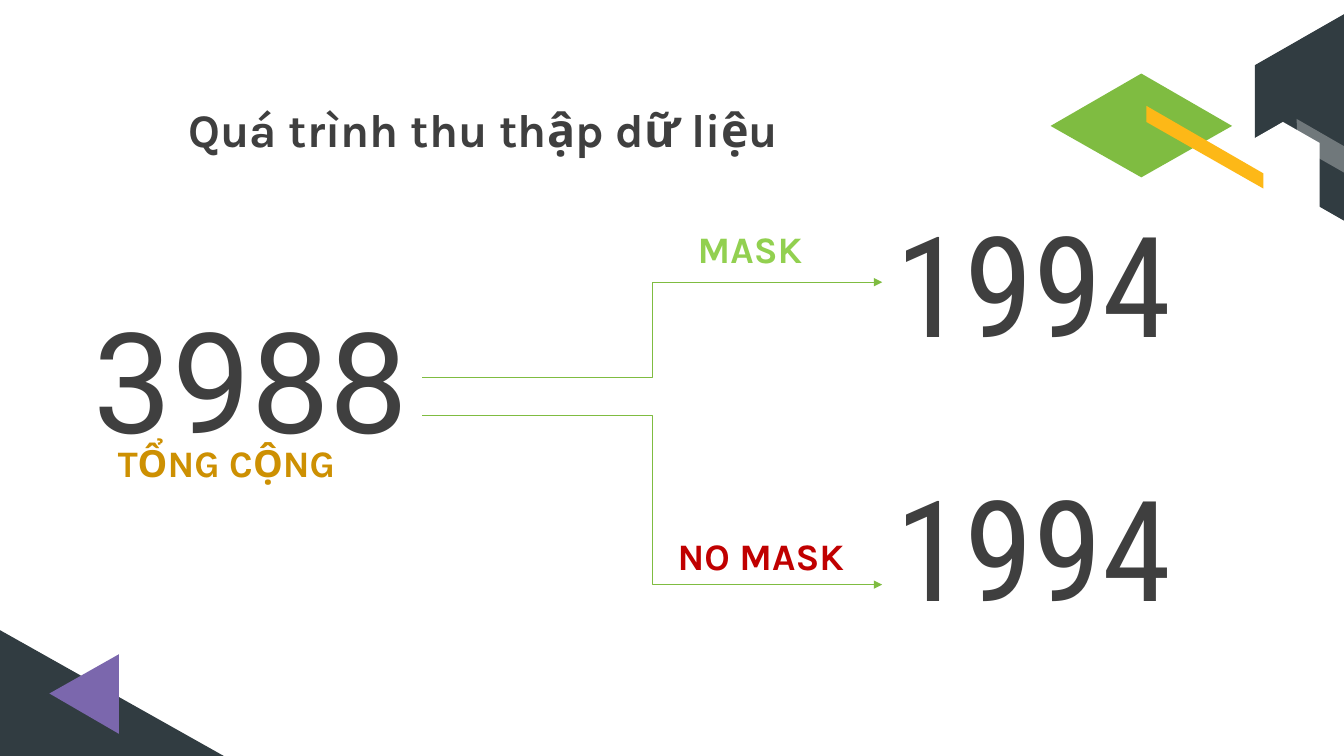
from typing import NamedTuple

from lxml import etree
from pptx import Presentation
from pptx import util as u
from pptx.dml import color
from pptx.enum import shapes, text
from pptx.oxml import ns

PX = 9144
GREEN, CHARCOAL, SLATE, WHITE = "7FBC41", "3F3F3F", "313C41", "FFFFFF"


class Hexagon(NamedTuple):
    """Upright hexagon given by its box before the quarter turn."""
    left: int
    top: int
    width: int
    height: int
    fill: str


class Polygon(NamedTuple):
    """Closed outline with a fill and its opacity in percent."""
    points: list[tuple[int, int]]
    fill: str
    opacity: int = 100


class Label(NamedTuple):
    """One line of text with its box, font and first-line indent."""
    words: str
    box: tuple[int, int, int, int]
    size: float
    font: str
    colour: str
    bold: bool = False
    inset: int = 13
    margin: int = 0
    indent: int = 0
    spacing: float = 1.0


class Branch(NamedTuple):
    """Elbow arrow from the total to one class of images."""
    start_y: int
    end_y: int


HEADING = Label("Quá trình thu thập dữ liệu", (174, 92, 1050, 71), 33.3, "Karla", CHARCOAL, True)
LABELS = [
    Label("TỔNG CỘNG", (107, 437, 354, 43), 26.7, "Karla", "CD9002", True, 10, 25, -25),
    Label("3988", (83, 269, 335, 233), 100, "Roboto", CHARCOAL, inset=10, spacing=0.9),
    Label("1994", (875, 163, 335, 233), 100, "Roboto Condensed", CHARCOAL),
    Label("1994", (875, 425, 335, 233), 100, "Roboto Condensed", CHARCOAL),
    Label("MASK", (667, 225, 176, 43), 26.7, "Karla", "92D050", True, margin=50, indent=-38),
    Label("NO MASK", (647, 530, 232, 43), 26.7, "Karla", "C00000", True, margin=50, indent=-38),
]
DECORATIONS = [
    Hexagon(1231, 27, 206, 179, SLATE),
    Polygon([(1132, 73), (1222, 125), (1132, 176), (1042, 125)], GREEN),
    Polygon([(-2, 624), (-226, 750), (-2, 879), (222, 750)], SLATE),
    Polygon([(118, 649), (49, 688), (118, 728)], "7B67AD"),
    Hexagon(1200, 157, 145, 73, WHITE),
    Polygon([(1253, 172), (1137, 105), (1137, 121), (1253, 187)], "FDB817"),
    Polygon([(1484, 232), (1286, 118), (1287, 145), (1485, 258)], WHITE, 31),
]
BRANCHES = [Branch(412, 580), Branch(374, 280)]
BRANCH_START_X, BRANCH_END_X = 419, 875


def px(length: int) -> int:
    """Turn px into EMU."""
    return u.Emu(length * PX)


def rgb(value: str) -> color.RGBColor:
    """Turn a hex string into a colour."""
    return color.RGBColor.from_string(value)


def paint(shape, fill: str, opacity: int = 100) -> None:
    """Give a shape a plain fill without line or shadow."""
    shape.shadow.inherit = False
    shape.line.fill.background()
    shape.fill.solid()
    shape.fill.fore_color.rgb = rgb(fill)
    if opacity < 100:
        tint = shape.fill._xPr.find(".//" + ns.qn("a:srgbClr"))
        etree.SubElement(tint, ns.qn("a:alpha"), val=str(opacity * 1000))


def draw_hexagon(slide, hexagon: Hexagon) -> None:
    """Draw a hexagon standing on its point."""
    box = map(px, hexagon[:4])
    shape = slide.shapes.add_shape(shapes.MSO_SHAPE.HEXAGON, *box)
    shape.adjustments[0] = 0.286
    shape.adjustments[1] = 1.155
    shape.rotation = 270
    paint(shape, hexagon.fill)


def draw_polygon(slide, polygon: Polygon) -> None:
    """Draw a closed outline."""
    first, *others = polygon.points
    outline = slide.shapes.build_freeform(*first, scale=PX)
    outline.add_line_segments(others, close=True)
    paint(outline.convert_to_shape(), polygon.fill, polygon.opacity)


def write(shape, label: Label) -> None:
    """Place a text shape and format its single line."""
    shape.left, shape.top, shape.width, shape.height = map(px, label.box)
    frame = shape.text_frame
    frame.text = label.words
    frame.word_wrap = True
    frame.auto_size = text.MSO_AUTO_SIZE.NONE
    frame.vertical_anchor = text.MSO_ANCHOR.MIDDLE
    frame.margin_left = frame.margin_right = px(label.inset)
    frame.margin_top = frame.margin_bottom = px(label.inset)
    line = frame.paragraphs[0]
    line.alignment = text.PP_ALIGN.LEFT
    line.line_spacing = label.spacing
    properties = line._p.get_or_add_pPr()
    properties.set("marL", str(px(label.margin)))
    properties.set("indent", str(px(label.indent)))
    font = line.runs[0].font
    font.name, font.size, font.bold = label.font, u.Pt(label.size), label.bold
    font.color.rgb = rgb(label.colour)


def draw_branch(slide, branch: Branch) -> None:
    """Draw an elbow arrow."""
    arrow = slide.shapes.add_connector(
        shapes.MSO_CONNECTOR.ELBOW,
        px(BRANCH_START_X), px(branch.start_y), px(BRANCH_END_X), px(branch.end_y))
    arrow.line.width = u.Pt(0.5)
    arrow.line.color.rgb = rgb(GREEN)
    etree.SubElement(arrow.line._get_or_add_ln(), ns.qn("a:tailEnd"), type="triangle")
    etree.SubElement(arrow._element.spPr, ns.qn("a:effectLst"))


def main() -> None:
    """Build and save the slide."""
    deck = Presentation()
    deck.slide_width, deck.slide_height = px(1333), px(750)
    slide = deck.slides.add_slide(deck.slide_layouts.get_by_name("Title Only"))
    for decoration in DECORATIONS:
        if isinstance(decoration, Hexagon):
            draw_hexagon(slide, decoration)
        else:
            draw_polygon(slide, decoration)
    write(slide.shapes.title, HEADING)
    for branch in BRANCHES:
        draw_branch(slide, branch)
    for label in LABELS:
        write(slide.shapes.add_textbox(*map(px, label.box)), label)
    deck.save("out.pptx")


if __name__ == "__main__":
    main()
